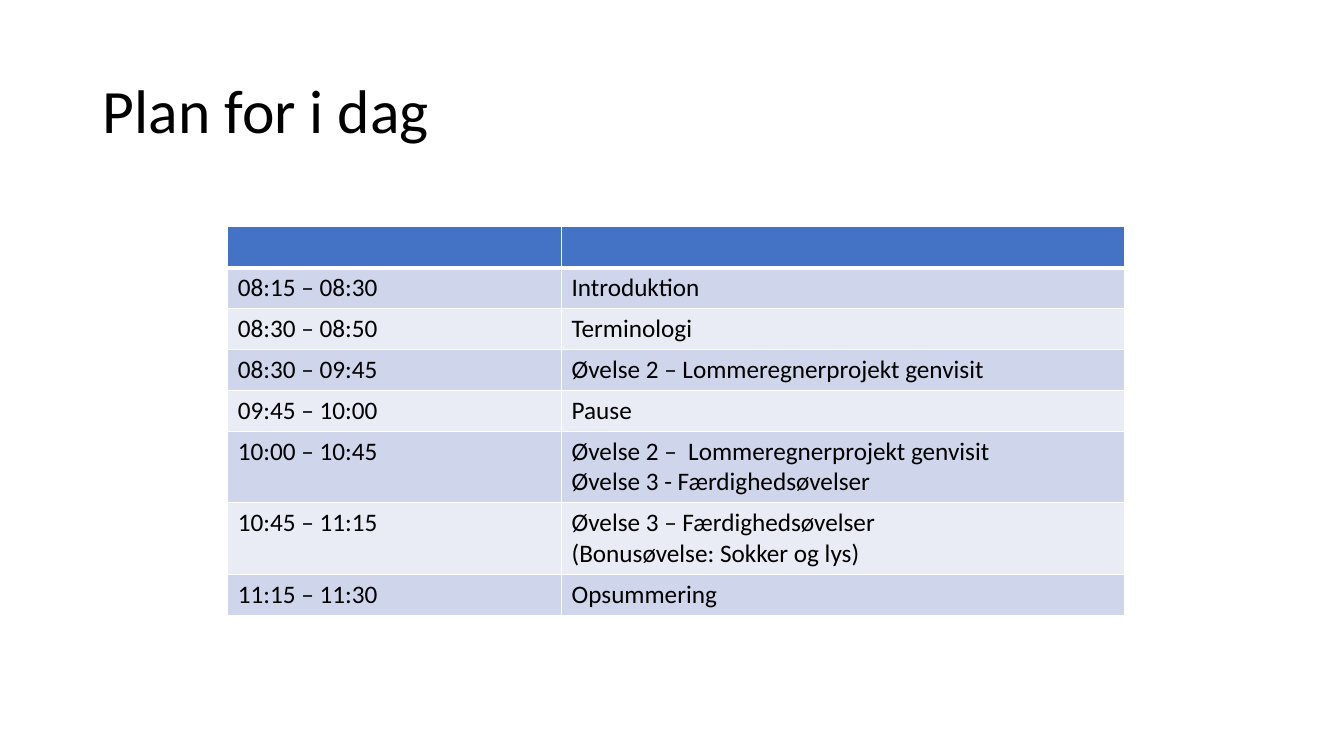
from lxml.etree import SubElement
from pptx import Presentation
from pptx.dml.color import RGBColor
from pptx.enum.text import MSO_ANCHOR, PP_ALIGN
from pptx.oxml.ns import qn
from pptx.util import Inches, Pt

BLACK = RGBColor(0x00, 0x00, 0x00)
WHITE = RGBColor(0xFF, 0xFF, 0xFF)
HEADER_BLUE = RGBColor(0x44, 0x72, 0xC4)
BANDS = (RGBColor(0xCF, 0xD5, 0xEA), RGBColor(0xE9, 0xEB, 0xF5))

HEADER = ("", "")
PLAN = [
    ("08:15 – 08:30", "Introduktion"),
    ("08:30 – 08:50", "Terminologi"),
    ("08:30 – 09:45", "Øvelse 2 – Lommeregnerprojekt genvisit"),
    ("09:45 – 10:00", "Pause"),
    ("10:00 – 10:45", "Øvelse 2 –  Lommeregnerprojekt genvisit\nØvelse 3 - Færdighedsøvelser"),
    ("10:45 – 11:15", "Øvelse 3 – Færdighedsøvelser\n(Bonusøvelse: Sokker og lys)"),
    ("11:15 – 11:30", "Opsummering"),
]


def write(tf, text, font="Calibri", size=18, color=BLACK, bold=False, spacing=1.0):
    """Fill a text frame with one paragraph per line of text."""
    tf.text = text
    for p in tf.paragraphs:
        p.alignment = PP_ALIGN.LEFT
        p.line_spacing = spacing
        for r in p.runs:
            r.font.name = font
            r.font.size = Pt(size)
            r.font.bold = bold
            r.font.color.rgb = color


def set_borders(cell, color, **widths):
    """Draw cell borders; widths are points keyed by L, R, T and B."""
    tc_pr = cell._tc.get_or_add_tcPr()
    for side, width in widths.items():
        ln = SubElement(tc_pr, qn(f"a:ln{side}"), w=str(Pt(width)))
        fill = SubElement(ln, qn("a:solidFill"))
        SubElement(fill, qn("a:srgbClr"), val=str(color))


class PlanSlide:
    def __init__(self, prs):
        self.font = "Calibri"
        self.slide = prs.slides.add_slide(prs.slide_layouts[5])

    def title(self, text, left, top, width, height):
        sp = self.slide.shapes.title
        sp.left, sp.top = Inches(left), Inches(top)
        sp.width, sp.height = Inches(width), Inches(height)
        tf = sp.text_frame
        tf.word_wrap = True
        tf.vertical_anchor = MSO_ANCHOR.MIDDLE
        write(tf, text, font=self.font, size=44, spacing=0.9)

    def table(self, rows, left, top, col_widths, line_height=0.31, padding=0.09):
        heights = [line_height * (row[-1].count("\n") + 1) + padding for row in rows]
        table = self.slide.shapes.add_table(
            len(rows), len(col_widths), Inches(left), Inches(top),
            Inches(sum(col_widths)), Inches(sum(heights))).table
        for column, width in zip(table.columns, col_widths):
            column.width = Inches(width)
        for i, (row, height) in enumerate(zip(rows, heights)):
            table.rows[i].height = Inches(height)
            for j, text in enumerate(row):
                cell = table.cell(i, j)
                write(cell.text_frame, text, font=self.font)
                set_borders(cell, WHITE, L=1, R=1, T=3 if i == 1 else 1, B=3 if i == 0 else 1)
                cell.fill.solid()
                cell.fill.fore_color.rgb = BANDS[(i - 1) % 2] if i else HEADER_BLUE


def main():
    prs = Presentation()
    prs.slide_width, prs.slide_height = Inches(13.33), Inches(7.5)
    s = PlanSlide(prs)
    s.title("Plan for i dag", 0.92, 0.4, 11.5, 1.45)
    s.table([HEADER, *PLAN], 2.26, 2.25, (3.31, 5.58))
    prs.save("out.pptx")


if __name__ == "__main__":
    main()
